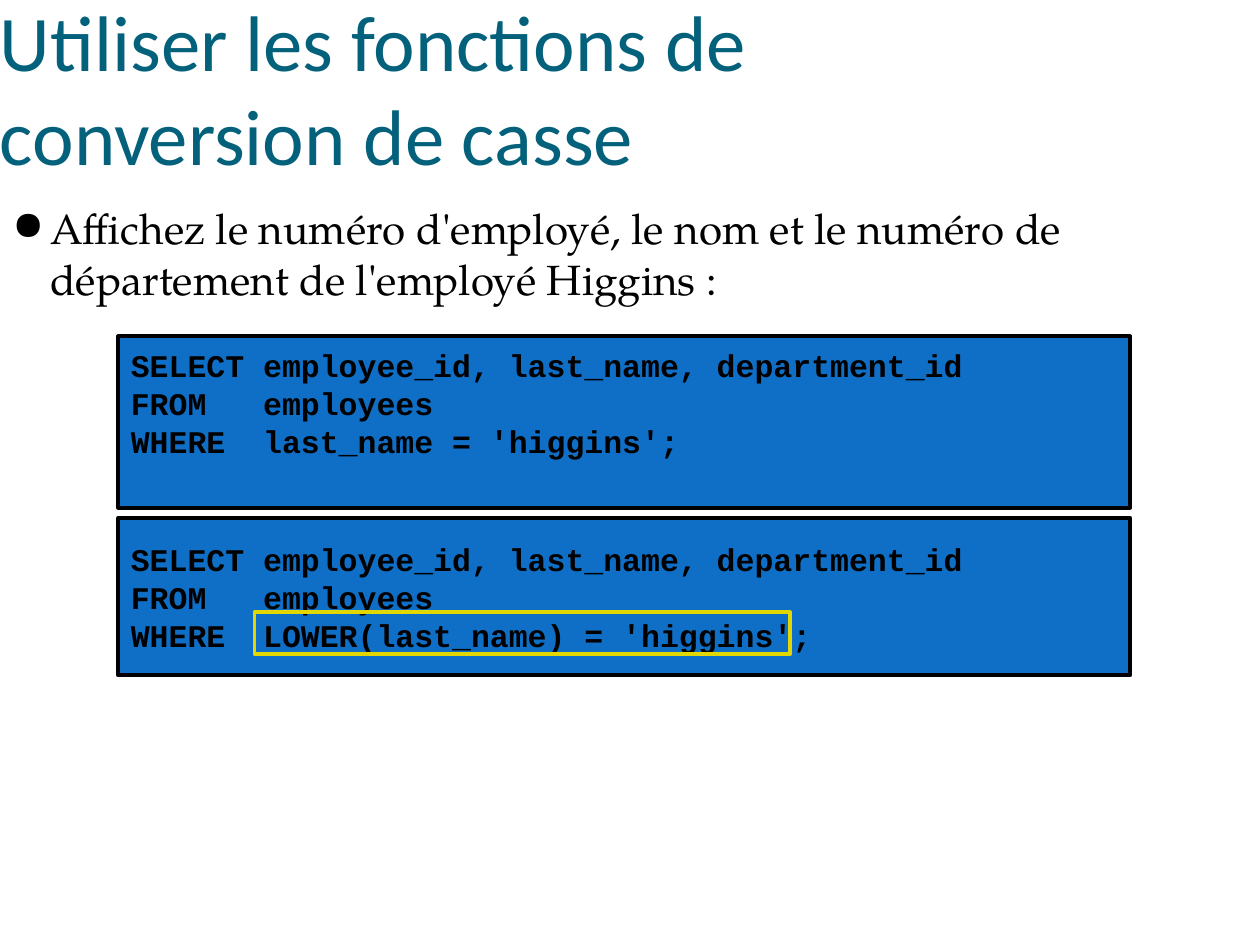
from dataclasses import dataclass

from lxml import etree
from pptx import Presentation
from pptx import util as u
from pptx.dml.color import RGBColor
from pptx.enum import shapes, text
from pptx.oxml.ns import qn


@dataclass(frozen=True)
class Theme:
    title_color: RGBColor = RGBColor.from_string("04617B")
    ink: RGBColor = RGBColor.from_string("000000")
    panel: RGBColor = RGBColor.from_string("0F6FC6")
    highlight: RGBColor = RGBColor.from_string("E2D700")
    title_font: str = "Calibri"
    body_font: str = "TeX Gyre Pagella"
    code_font: str = "Courier New"
    title_size: float = 45
    body_size: float = 24.1
    code_size: float = 18
    line_width: float = 2.25


class SlideBuilder:
    def __init__(self, slide, theme):
        self.slide = slide
        self.theme = theme

    def set_font(self, paragraph, name, size, color, bold=False):
        font = paragraph.font
        font.name, font.size, font.bold = name, u.Pt(size), bold
        font.color.rgb = color

    def set_frame(self, frame, anchor, insets):
        frame.word_wrap = True
        frame.auto_size = text.MSO_AUTO_SIZE.NONE
        frame.vertical_anchor = anchor
        (frame.margin_left, frame.margin_top,
         frame.margin_right, frame.margin_bottom) = map(u.Inches, insets)

    def text_box(self, box, words, anchor, insets):
        frame = self.slide.shapes.add_textbox(*map(u.Inches, box)).text_frame
        self.set_frame(frame, anchor, insets)
        paragraph = frame.paragraphs[0]
        paragraph.text = words
        return paragraph

    def title(self, box, words):
        paragraph = self.text_box(box, words, text.MSO_ANCHOR.BOTTOM, (0, 0.05, 0, 0))
        theme = self.theme
        self.set_font(paragraph, theme.title_font, theme.title_size, theme.title_color)

    def bullet(self, box, words):
        paragraph = self.text_box(box, words, text.MSO_ANCHOR.TOP, (0.1, 0.05, 0.1, 0.05))
        properties = paragraph._p.get_or_add_pPr()
        properties.set("marL", str(u.Inches(0.3)))
        properties.set("indent", str(u.Inches(-0.3)))
        etree.SubElement(properties, qn("a:buSzPct"), val="95000")
        etree.SubElement(properties, qn("a:buChar"), char="●")
        theme = self.theme
        self.set_font(paragraph, theme.body_font, theme.body_size, theme.ink)

    def rectangle(self, box, line_color, fill=None):
        shape = self.slide.shapes.add_shape(
            shapes.MSO_SHAPE.RECTANGLE, *map(u.Inches, box))
        shape.shadow.inherit = False
        if fill is None:
            shape.fill.background()
        else:
            shape.fill.solid()
            shape.fill.fore_color.rgb = fill
        shape.line.color.rgb = line_color
        shape.line.width = u.Pt(self.theme.line_width)
        return shape

    def code_panel(self, box, condition, bottom_inset=0.05):
        theme = self.theme
        frame = self.rectangle(box, theme.ink, theme.panel).text_frame
        self.set_frame(frame, text.MSO_ANCHOR.MIDDLE, (0.1, 0.05, 0.1, bottom_inset))
        frame.text = "\n".join((
            "SELECT employee_id, last_name, department_id",
            "FROM   employees",
            f"WHERE  {condition};",
        ))
        for paragraph in frame.paragraphs:
            paragraph.alignment = text.PP_ALIGN.LEFT
            self.set_font(paragraph, theme.code_font, theme.code_size, theme.ink, bold=True)


def main():
    presentation = Presentation()
    presentation.slide_width = u.Inches(10)
    presentation.slide_height = u.Inches(7.5)
    slide = presentation.slides.add_slide(presentation.slide_layouts[6])
    theme = Theme()
    builder = SlideBuilder(slide, theme)

    builder.title((0, 0.48, 8.66, 0.96), "Utiliser les fonctions de conversion de casse")
    builder.bullet(
        (0, 1.56, 8.66, 0.76),
        "Affichez le numéro d'employé, le nom et le numéro de "
        "département de l'employé Higgins :",
    )
    builder.code_panel((0.94, 4.11, 8.03, 1.25), "LOWER(last_name) = 'higgins'")
    builder.code_panel((0.94, 2.67, 8.03, 1.36), "last_name = 'higgins'", bottom_inset=0.35)
    builder.rectangle((2.02, 4.86, 4.25, 0.33), theme.highlight)

    presentation.save("out.pptx")


if __name__ == "__main__":
    main()
